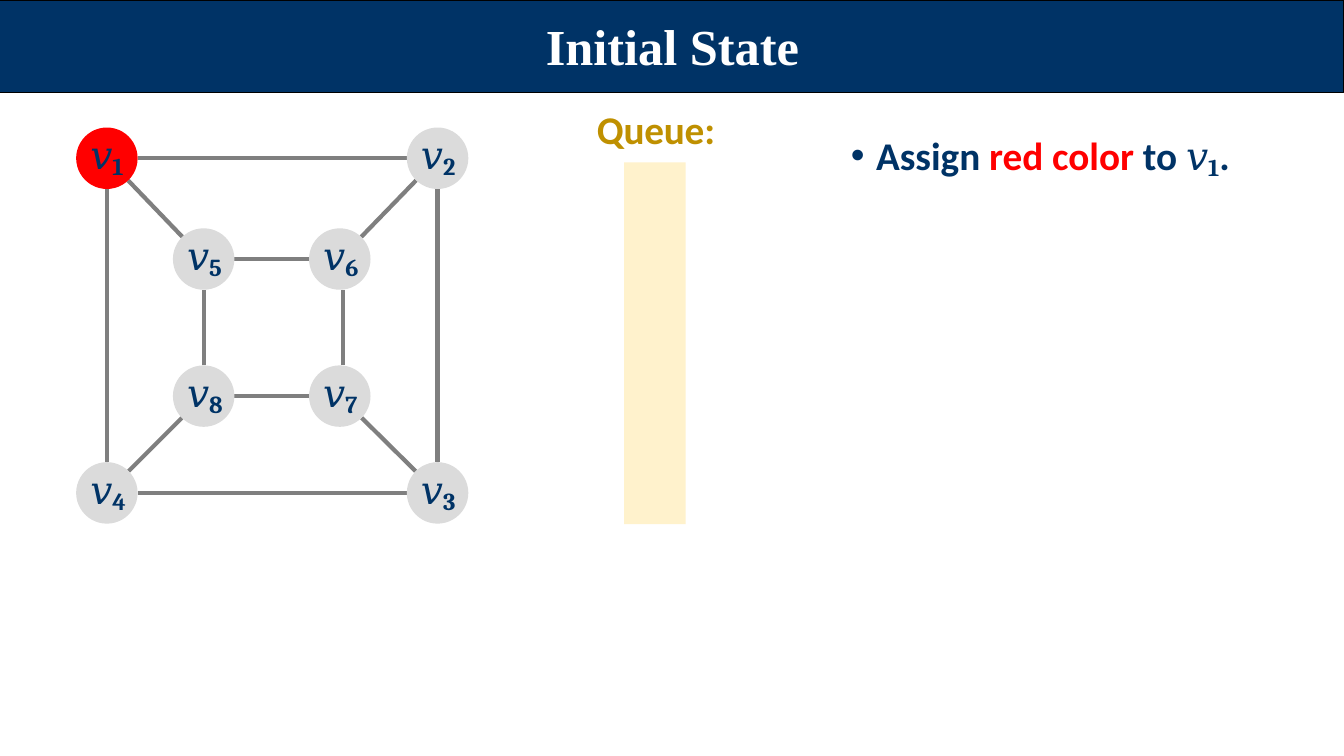
import math

from lxml import etree
from pptx import Presentation
from pptx.dml.color import RGBColor
from pptx.enum.shapes import MSO_CONNECTOR, MSO_SHAPE
from pptx.enum.text import MSO_ANCHOR, PP_ALIGN
from pptx.oxml.ns import qn
from pptx.util import Inches, Pt

OVAL, RECTANGLE = MSO_SHAPE.OVAL, MSO_SHAPE.RECTANGLE
STRAIGHT = MSO_CONNECTOR.STRAIGHT
TOP, MIDDLE = MSO_ANCHOR.TOP, MSO_ANCHOR.MIDDLE
LEFT, CENTER = PP_ALIGN.LEFT, PP_ALIGN.CENTER

NAVY, RED, GOLD, CREAM = "003366", "FF0000", "BF9000", "FFF2CC"
NODE_GRAY, EDGE_GRAY, WHITE, BLACK = "DBDBDB", "7F7F7F", "FFFFFF", "000000"

NODE_SIZE = 0.61
# Node centres, relative to the graph's box
NODES = {
    1: (0.31, 0.31), 2: (3.59, 0.31), 3: (3.59, 3.63), 4: (0.31, 3.63),
    5: (1.27, 1.31), 6: (2.62, 1.31), 7: (2.62, 2.67), 8: (1.27, 2.67),
}
EDGES = [(1, 2), (2, 3), (3, 4), (4, 1),
         (5, 6), (6, 7), (7, 8), (8, 5),
         (1, 5), (2, 6), (3, 7), (4, 8)]
EDGE_SHIFT = {(6, 7): 0.03}


def rgb(color):
    return RGBColor.from_string(color)


def add_filled(slide, preset, left, top, width, height, color, outline=None):
    shape = slide.shapes.add_shape(
        preset, Inches(left), Inches(top), Inches(width), Inches(height))
    shape.shadow.inherit = False
    shape.fill.solid()
    shape.fill.fore_color.rgb = rgb(color)
    if outline:
        shape.line.color.rgb = rgb(outline)
        shape.line.width = Pt(0.75)
    else:
        shape.line.fill.background()


def add_text(slide, left, top, width, height, align=LEFT, anchor=TOP):
    """Add an empty text box and return its first paragraph."""
    box = slide.shapes.add_textbox(
        Inches(left), Inches(top), Inches(width), Inches(height))
    frame = box.text_frame
    frame.word_wrap = True
    frame.vertical_anchor = anchor
    frame.margin_left = frame.margin_right = frame.margin_bottom = 0
    frame.margin_top = Inches(0.02)
    frame.paragraphs[0].alignment = align
    return frame.paragraphs[0]


def add_run(paragraph, text, color, font="Calibri", size=28, spacing=0, baseline=0):
    run = paragraph.add_run()
    run.text = text
    run.font.name = font
    run.font.size = Pt(size)
    run.font.bold = True
    run.font.color.rgb = rgb(color)
    properties = run.font._element
    if spacing:
        properties.set("spc", str(spacing))
    if baseline:
        properties.set("baseline", str(baseline))


def add_vertex_name(paragraph, number):
    add_run(paragraph, "𝑣", NAVY, "Cambria", spacing=-20)
    add_run(paragraph, str(number), NAVY, "Cambria", 30, -40, -15000)


def set_indent(paragraph, left, first=0, bullet=None):
    properties = paragraph._p.get_or_add_pPr()
    properties.set("marL", str(Inches(left)))
    properties.set("indent", str(Inches(first)))
    if bullet:
        etree.SubElement(properties, qn("a:buFont")).set("typeface", "Arial")
        etree.SubElement(properties, qn("a:buChar")).set("char", bullet)


def add_title_bar(slide, left, top, width, height):
    add_filled(slide, RECTANGLE, left, top, width, height, NAVY, BLACK)
    title = add_text(slide, left + 5.23, top + 0.13, 2.88, 0.63, CENTER, MIDDLE)
    add_run(title, "Initial State", WHITE, "Times New Roman", 36)


def add_edge(slide, left, top, edge):
    (x1, y1), (x2, y2) = (NODES[number] for number in edge)
    # Stop at the rims of both nodes
    trim = NODE_SIZE / 2 / math.hypot(x2 - x1, y2 - y1)
    dx, dy = (x2 - x1) * trim, (y2 - y1) * trim
    left += EDGE_SHIFT.get(edge, 0)
    line = slide.shapes.add_connector(
        STRAIGHT, Inches(left + x1 + dx), Inches(top + y1 + dy),
        Inches(left + x2 - dx), Inches(top + y2 - dy))
    line.line.color.rgb = rgb(EDGE_GRAY)
    line.line.width = Pt(3)
    etree.SubElement(line._element.spPr, qn("a:effectLst"))


def add_node(slide, left, top, number, color):
    add_filled(slide, OVAL, left, top, NODE_SIZE, NODE_SIZE, color)
    label = add_text(slide, left + 0.1, top - 0.02, 0.45, 0.49)
    set_indent(label, 0.04)
    add_vertex_name(label, number)


def add_graph(slide, left, top):
    for edge in EDGES:
        add_edge(slide, left, top, edge)
    for number, (x, y) in NODES.items():
        add_node(slide, left + x - NODE_SIZE / 2, top + y - NODE_SIZE / 2,
                 number, RED if number == 1 else NODE_GRAY)


def add_queue(slide, left, top):
    heading = add_text(slide, left, top, 1.21, 0.49)
    set_indent(heading, 0.01)
    add_run(heading, "Queue:", GOLD, spacing=-10)
    add_filled(slide, RECTANGLE, left + 0.28, top + 0.59, 0.61, 3.59, CREAM)


def add_step(slide, left, top, width, height):
    step = add_text(slide, left, top, width, height)
    set_indent(step, 0.29, -0.25, "•")
    add_run(step, "Assign ", NAVY)
    add_run(step, "red color ", RED)
    add_run(step, "to ", NAVY)
    add_vertex_name(step, 1)
    add_run(step, ".", NAVY, spacing=-20)


def main():
    prs = Presentation()
    prs.slide_width, prs.slide_height = Inches(13.33), Inches(7.5)
    slide = prs.slides.add_slide(prs.slide_layouts[6])
    add_title_bar(slide, 0, 0, 13.33, 0.92)
    add_graph(slide, 0.75, 1.26)
    add_queue(slide, 5.91, 1.02)
    add_step(slide, 8.4, 1.25, 3.83, 0.49)
    prs.save("out.pptx")


if __name__ == "__main__":
    main()
